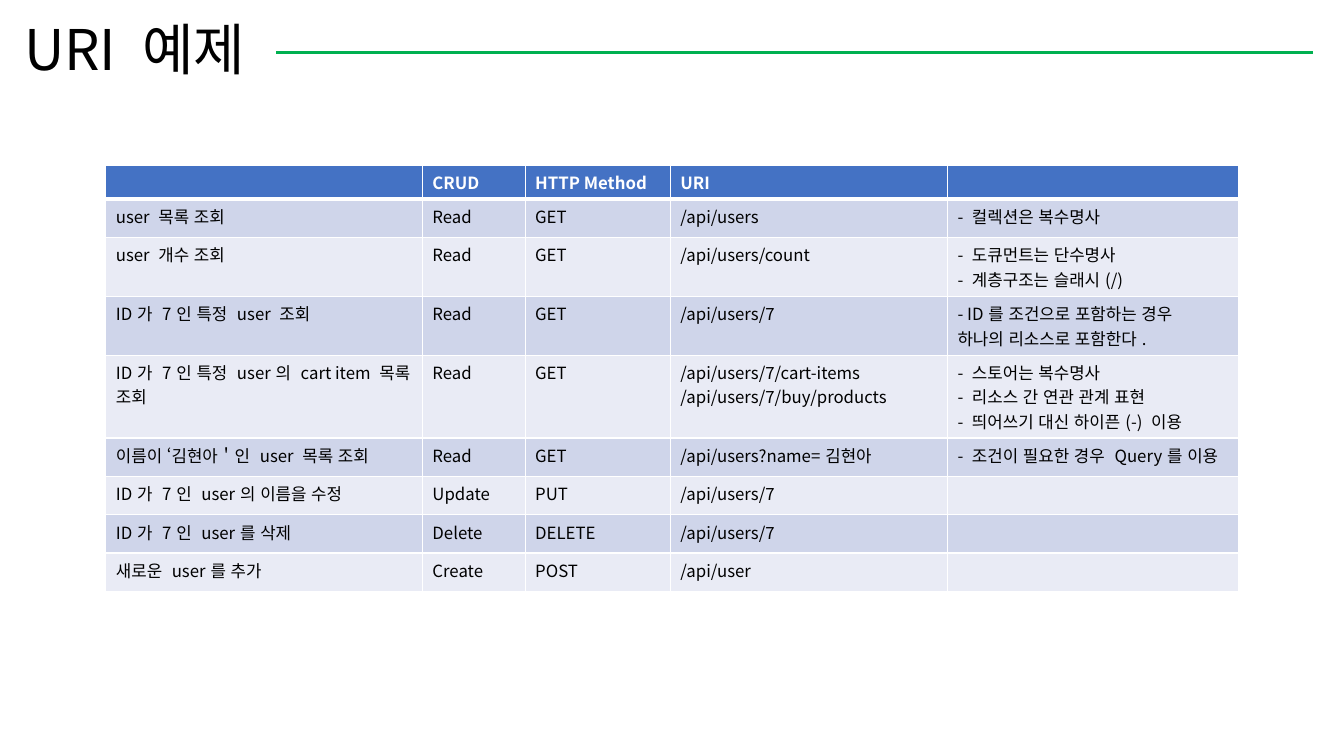
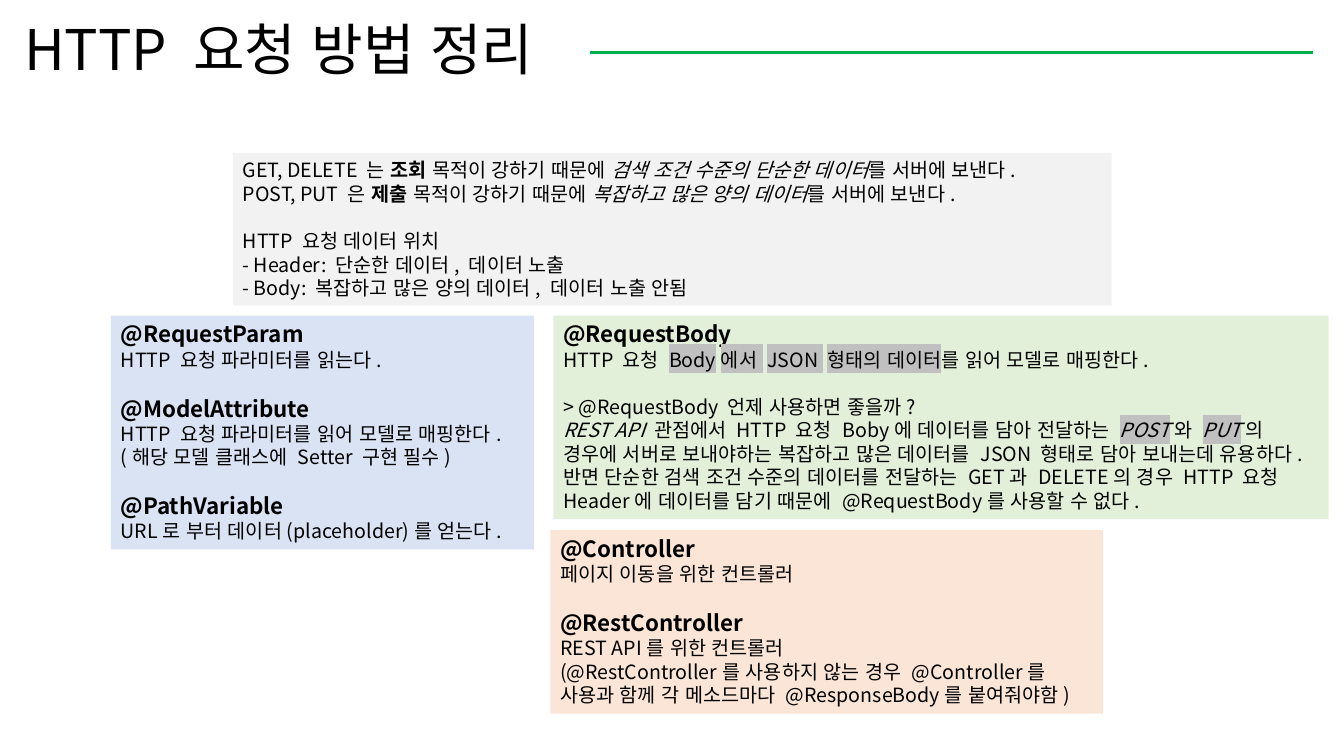
from dataclasses import dataclass, field

from lxml.etree import SubElement
from pptx import Presentation
from pptx.dml.color import RGBColor as RGB
from pptx.enum.lang import MSO_LANGUAGE_ID as LANG
from pptx.enum.shapes import MSO_CONNECTOR as CONN, MSO_SHAPE as SHAPE
from pptx.enum.text import MSO_ANCHOR as ANCHOR, MSO_AUTO_SIZE as FIT, PP_ALIGN as ALIGN
from pptx.oxml import parse_xml
from pptx.oxml.ns import nsdecls, qn
from pptx.util import Pt


@dataclass(frozen=True)
class Theme:
    font: str = "Noto Sans CJK KR"
    text: str = "000000"
    white: str = "FFFFFF"
    rule: str = "00B050"
    mark: str = "C0C0C0"
    header: str = "4472C4"
    bands: tuple = ("CFD5EA", "E9EBF5")
    blue: str = "DAE3F3"
    green: str = "E2F0D9"
    gray: str = "F2F2F2"
    orange: str = "FBE5D6"
    cell_size: int = 12
    gap: int = 17
    styles: dict = field(default_factory=lambda: {
        "title": {"size": Pt(40)},
        "head": {"size": Pt(16), "bold": True},
        "body": {"size": Pt(14)},
        "bold": {"size": Pt(14), "bold": True},
        "italic": {"size": Pt(14), "italic": True},
        "mark": {"size": Pt(14)},
        "mark_italic": {"size": Pt(14), "italic": True},
        "cell": {"size": Pt(12)},
        "cell_head": {"size": Pt(12), "bold": True},
    })


class Deck:
    def __init__(self, theme):
        self.t = theme
        self.prs = Presentation()
        self.prs.slide_width, self.prs.slide_height = Pt(960), Pt(540)
        self.s = None

    def slide(self, title, title_width):
        self.s = self.prs.slides.add_slide(self.prs.slide_layouts[6])
        sp = self.s.shapes.add_textbox(Pt(10.2), Pt(10.5), Pt(title_width), Pt(54))
        tf = sp.text_frame
        tf.word_wrap = True
        tf.vertical_anchor = ANCHOR.MIDDLE
        tf.paragraphs[0].line_spacing = 0.9
        self.run(tf.paragraphs[0], title, "title")
        self.rule(sp, 937.8)

    def rule(self, start, right):
        y = start.top + start.height // 2
        line = self.s.shapes.add_connector(CONN.STRAIGHT, start.left, y, Pt(right), y)
        line.begin_connect(start, 3)
        line.line.color.rgb = RGB.from_string(self.t.rule)
        line.line.width = Pt(2)
        SubElement(line._element.spPr, qn("a:effectLst"))

    def run(self, p, text, style="body", color=None):
        r = p.add_run()
        r.text = text
        f = r.font
        for name, value in self.t.styles[style].items():
            setattr(f, name, value)
        f.language_id = LANG.KOREAN
        f.color.rgb = RGB.from_string(color or self.t.text)
        rPr = r._r.get_or_add_rPr()
        if style.startswith("mark"):
            highlight = SubElement(rPr, qn("a:highlight"))
            SubElement(highlight, qn("a:srgbClr"), val=self.t.mark)
        f.name = self.t.font
        SubElement(rPr, qn("a:ea"), typeface=self.t.font)

    def box(self, x, y, w, h, fill, blocks):
        sp = self.s.shapes.add_shape(SHAPE.RECTANGLE, Pt(x), Pt(y), Pt(w), Pt(h))
        sp.shadow.inherit = False
        sp.fill.solid()
        sp.fill.fore_color.rgb = RGB.from_string(fill)
        sp.line.fill.background()
        tf = sp.text_frame
        for name, value in {"word_wrap": True, "vertical_anchor": ANCHOR.TOP,
                            "auto_size": FIT.SHAPE_TO_FIT_TEXT}.items():
            setattr(tf, name, value)
        p = None
        for b, block in enumerate(blocks):
            for i, para in enumerate(block):
                p = tf.add_paragraph() if p else tf.paragraphs[0]
                p.alignment = ALIGN.LEFT
                if b and not i:
                    p.space_before = Pt(self.t.gap)
                for text, style in ([(para, "body")] if isinstance(para, str) else para):
                    self.run(p, text, style)

    def table(self, x, y, widths, line_heights, rows):
        heights = [line_heights[max(text.count("\n") for text in texts) + 1 if i else 0]
                   for i, texts in enumerate(rows)]
        frame = self.s.shapes.add_table(len(rows), len(widths), Pt(x), Pt(y),
                                        Pt(sum(widths)), Pt(sum(heights)))
        tbl = frame.table
        for col, width in zip(tbl.columns, widths):
            col.width = Pt(width)
        for i, (height, texts) in enumerate(zip(heights, rows)):
            tbl.rows[i].height = Pt(height)
            for j, text in enumerate(texts):
                self.cell(tbl.cell(i, j), i, text)

    def cell(self, cell, row, text):
        t = self.t
        fill, style, color = ((t.bands[(row - 1) % 2], "cell", t.text) if row
                              else (t.header, "cell_head", t.white))
        cell.fill.solid()
        cell.fill.fore_color.rgb = RGB.from_string(fill)
        borders = {"L": 1, "R": 1, "T": 3 if row == 1 else 1, "B": 1 if row else 3}
        tcPr = cell._tc.get_or_add_tcPr()
        for i, (side, width) in enumerate(borders.items()):
            tcPr.insert(i, parse_xml(
                f'<a:ln{side} {nsdecls("a")} w="{Pt(width)}"><a:solidFill>'
                f'<a:srgbClr val="{t.white}"/></a:solidFill></a:ln{side}>'))
        tf = cell.text_frame
        for i, line in enumerate(text.split("\n")):
            p = tf.add_paragraph() if i else tf.paragraphs[0]
            if line:
                self.run(p, line, style, color)
            else:
                p._p.get_or_add_endParaRPr().set("sz", str(t.cell_size * 100))


def uri_examples(d):
    d.slide("URI 예제", 187.2)
    d.table(75.6, 118.1, [226.1, 73.4, 103.7, 198, 208.1], [24, 27.4, 42.1, 59.3], [
        ("", "CRUD", "HTTP Method", "URI", ""),
        ("user 목록 조회", "Read", "GET", "/api/users", "- 컬렉션은 복수명사"),
        ("user 개수 조회", "Read", "GET", "/api/users/count",
         "- 도큐먼트는 단수명사\n- 계층구조는 슬래시(/)"),
        ("ID가 7인 특정 user 조회", "Read", "GET", "/api/users/7",
         "- ID를 조건으로 포함하는 경우\n하나의 리소스로 포함한다."),
        ("ID가 7인 특정 user의 cart item 목록 조회", "Read", "GET",
         "/api/users/7/cart-items\n/api/users/7/buy/products",
         "- 스토어는 복수명사\n- 리소스 간 연관 관계 표현\n- 띄어쓰기 대신 하이픈(-) 이용"),
        ("이름이 ‘김현아＇인 user 목록 조회", "Read", "GET", "/api/users?name=김현아",
         "- 조건이 필요한 경우 Query를 이용"),
        ("ID가 7인 user의 이름을 수정", "Update", "PUT", "/api/users/7", ""),
        ("ID가 7인 user를 삭제", "Delete", "DELETE", "/api/users/7", ""),
        ("새로운 user를 추가", "Create", "POST", "/api/user", ""),
    ])


def request_summary(d):
    t = d.t
    d.slide("HTTP 요청 방법 정리", 411.1)
    d.box(79.2, 225.4, 302.4, 167, t.blue, [
        [[("@RequestParam", "head")], "HTTP 요청 파라미터를 읽는다."],
        [[("@ModelAttribute", "head")], "HTTP 요청 파라미터를 읽어 모델로 매핑한다.",
         "(해당 모델 클래스에 Setter 구현 필수)"],
        [[("@PathVariable", "head")], "URL로 부터 데이터(placeholder)를 얻는다."],
    ])
    d.box(395.3, 225.4, 553.7, 145.4, t.green, [
        [[("@RequestBody", "head")],
         [("HTTP 요청 ", "body"), ("Body에서 JSON 형태의 데이터", "mark"),
          ("를 읽어 모델로 매핑한다.", "body")]],
        ["> @RequestBody 언제 사용하면 좋을까?",
         [("REST API ", "italic"),
          ("관점에서 HTTP 요청 Boby에 데이터를 담아 전달하는 ", "body"),
          ("POST", "mark_italic"), ("와 ", "body"), ("PUT", "mark_italic"),
          ("의 경우에 서버로 보내야하는 복잡하고 많은 데이터를 JSON 형태로 담아 보내는데 유용하다.",
           "body")],
         "반면 단순한 검색 조건 수준의 데이터를 전달하는 GET과 DELETE의 경우 HTTP 요청 "
         "Header에 데이터를 담기 때문에 @RequestBody를 사용할 수 없다."],
    ])
    purposes = [("GET, DELETE 는 ", "조회", "검색 조건 수준의 단순한 데이터"),
                ("POST, PUT 은 ", "제출", "복잡하고 많은 양의 데이터")]
    d.box(166.3, 109.4, 627.8, 108.7, t.gray, [
        [[(methods, "body"), (purpose, "bold"), (" 목적이 강하기 때문에 ", "body"),
          (data, "italic"), ("를 서버에 보낸다.", "body")]
         for methods, purpose, data in purposes],
        ["HTTP 요청 데이터 위치", "- Header: 단순한 데이터, 데이터 노출",
         "- Body: 복잡하고 많은 양의 데이터, 데이터 노출 안됨"],
    ])
    d.box(393.1, 378.7, 394.6, 131, t.orange, [
        [[("@Controller", "head")], "페이지 이동을 위한 컨트롤러"],
        [[("@RestController", "head")], "REST API를 위한 컨트롤러",
         "(@RestController를 사용하지 않는 경우 @Controller를 사용과 함께 각 메소드마다 "
         "@ResponseBody를 붙여줘야함)"],
    ])


def main():
    d = Deck(Theme())
    uri_examples(d)
    request_summary(d)
    d.prs.save("out.pptx")


if __name__ == "__main__":
    main()
